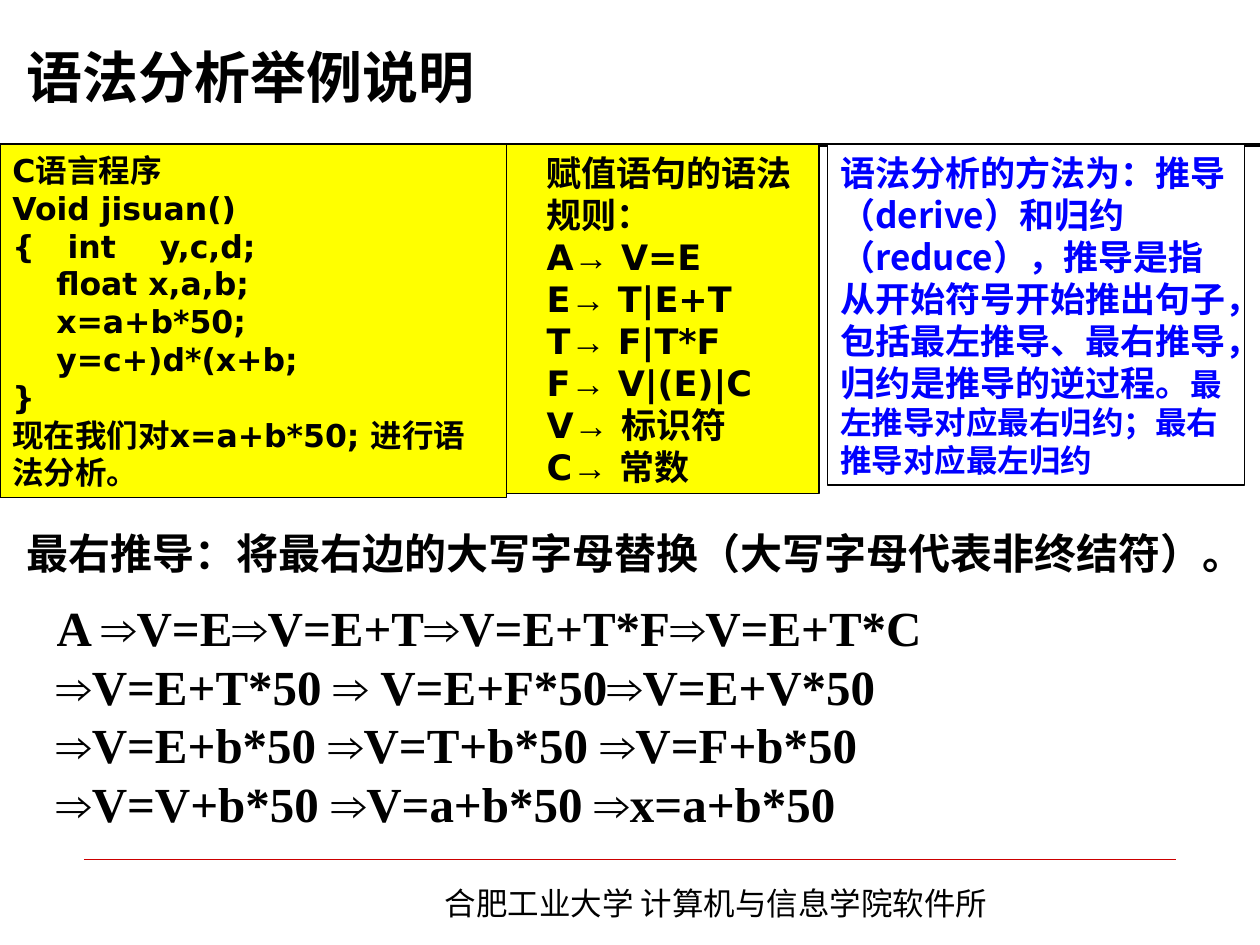
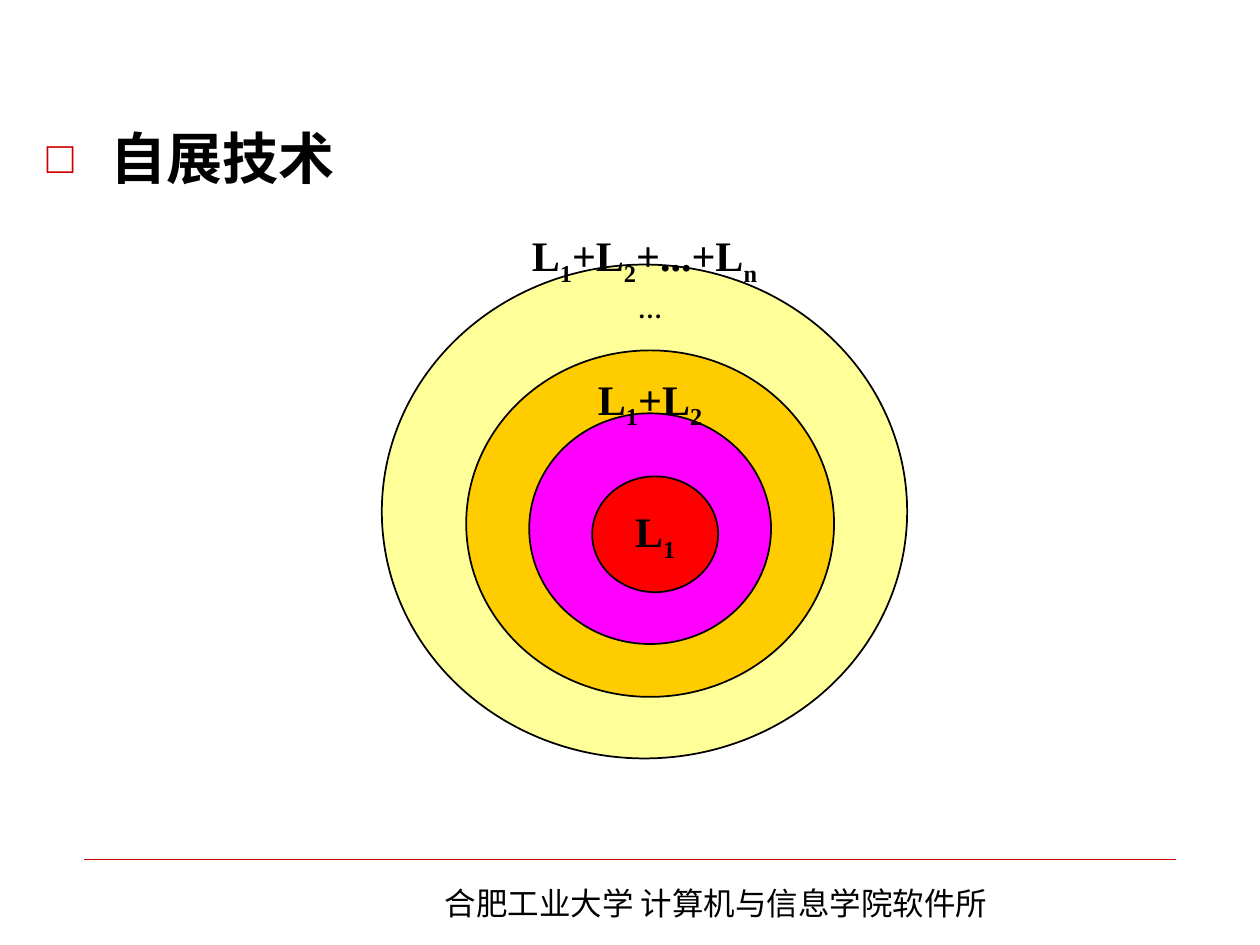
from dataclasses import dataclass
from itertools import groupby

from lxml import etree
from pptx import Presentation
from pptx.dml.color import RGBColor
from pptx.enum.shapes import MSO_CONNECTOR, MSO_SHAPE
from pptx.enum.text import MSO_ANCHOR, MSO_AUTO_SIZE, PP_ALIGN
from pptx.oxml.ns import qn
from pptx.shapes.autoshape import Shape
from pptx.slide import Slide
from pptx.text.text import TextFrame, _Paragraph, _Run
from pptx.util import Pt

BLACK = RGBColor(0x00, 0x00, 0x00)
WHITE = RGBColor(0xFF, 0xFF, 0xFF)
YELLOW = RGBColor(0xFF, 0xFF, 0x00)
BLUE = RGBColor(0x00, 0x00, 0xFF)
RED = RGBColor(0xFF, 0x00, 0x00)
DARK_RED = RGBColor(0xCC, 0x00, 0x00)
MAGENTA = RGBColor(0xFF, 0x00, 0xFF)
ORANGE = RGBColor(0xFF, 0xCC, 0x00)
PALE_YELLOW = RGBColor(0xFF, 0xFF, 0x99)

CHINESE_FONT = "Noto Sans CJK SC"
SANS_FONT = "DejaVu Sans"
SERIF_FONT = "Times New Roman"
ARROW_FONT = "Arial"
ARROWS = "→⇒"

RECTANGLE, OVAL = MSO_SHAPE.RECTANGLE, MSO_SHAPE.OVAL
STRAIGHT = MSO_CONNECTOR.STRAIGHT
TOP, MIDDLE, BOTTOM = MSO_ANCHOR.TOP, MSO_ANCHOR.MIDDLE, MSO_ANCHOR.BOTTOM
LEFT, CENTER = PP_ALIGN.LEFT, PP_ALIGN.CENTER
NO_AUTOFIT = MSO_AUTO_SIZE.NONE

LAYOUT_TITLE_AND_BODY, LAYOUT_TITLE_ONLY = 1, 5
PANEL_TOP = 82.8
LABEL_HEIGHT = 28


@dataclass(frozen=True)
class Box:
    left: float
    top: float
    width: float
    height: float

    def lengths(self) -> tuple[Pt, Pt, Pt, Pt]:
        return Pt(self.left), Pt(self.top), Pt(self.width), Pt(self.height)


@dataclass(frozen=True)
class TextStyle:
    font: str
    size: float
    color: RGBColor = BLACK
    bold: bool = True


@dataclass(frozen=True)
class Panel:
    box: Box
    fill: RGBColor
    style: TextStyle
    lines: tuple[str, ...]
    indent: float = 0


@dataclass(frozen=True)
class Ring:
    """An ellipse and its label; an underscore lowers the next character."""
    box: Box
    fill: RGBColor
    label: str
    label_middle: float


TITLE_STYLE = TextStyle(CHINESE_FONT, 32)
FOOTER_STYLE = TextStyle(CHINESE_FONT, 18, bold=False)
CODE_STYLE = TextStyle(SANS_FONT, 18)
RULE_STYLE = TextStyle(SANS_FONT, 20)
METHOD_STYLE = TextStyle(CHINESE_FONT, 20, BLUE)
METHOD_END_STYLE = TextStyle(CHINESE_FONT, 18, BLUE)
HEADING_STYLE = TextStyle(SANS_FONT, 24)
DERIVATION_STYLE = TextStyle(SERIF_FONT, 28)
LABEL_STYLE = TextStyle(SERIF_FONT, 24)

PANELS = (
    Panel(Box(269.3, PANEL_TOP, 198.7, 199.4), YELLOW, RULE_STYLE, (
        "赋值语句的语法规则：",
        "A→ V=E",
        "E→ T|E+T",
        "T→ F|T*F",
        "F→ V|(E)|C",
        "V→ 标识符",
        "C→ 常数",
    ), indent=36),
    Panel(Box(0, PANEL_TOP, 289.4, 201.6), YELLOW, CODE_STYLE, (
        "C语言程序",
        "Void jisuan()",
        "{   int    y,c,d;",
        "    float x,a,b;",
        "    x=a+b*50;",
        "    y=c+)d*(x+b;",
        "}",
        "现在我们对x=a+b*50; 进行语法分析。",
    )),
    Panel(Box(473, PANEL_TOP, 238.3, 194.4), WHITE, METHOD_STYLE, (
        "语法分析的方法为：推导（derive）和归约（reduce），推导是指从开始符号"
        "开始推出句子，包括最左推导、最右推导，归约是推导的逆过程。",
    )),
)
METHOD_END = "最左推导对应最右归约；最右推导对应最左归约"

DERIVATION = (
    "A ⇒V=E⇒V=E+T⇒V=E+T*F⇒V=E+T*C",
    "⇒V=E+T*50 ⇒ V=E+F*50⇒V=E+V*50",
    "⇒V=E+b*50 ⇒V=T+b*50 ⇒V=F+b*50",
    "⇒V=V+b*50 ⇒V=a+b*50 ⇒x=a+b*50",
)

RINGS = (
    Ring(Box(218.2, 151.2, 300.2, 282.2), PALE_YELLOW, "L_1+L_2+...+L_n", 147.6),
    Ring(Box(266.4, 200.2, 210.2, 198), ORANGE, "_…", 168.5),
    Ring(Box(302.4, 236.2, 138.2, 131.8), MAGENTA, "L_1+L_2", 229.7),
    Ring(Box(338.4, 272.2, 72, 66.2), RED, "L_1", 305.3),
)


def add_run(paragraph: _Paragraph, text: str, style: TextStyle) -> _Run:
    run = paragraph.add_run()
    run.text = text
    font = run.font
    font.name, font.size, font.bold = style.font, Pt(style.size), style.bold
    font.color.rgb = style.color
    is_chinese = any(character >= "\u3000" for character in text)
    east_asian = etree.SubElement(run._r.get_or_add_rPr(), qn("a:ea"))
    east_asian.set("typeface", CHINESE_FONT if is_chinese else style.font)
    return run


def write_line(paragraph: _Paragraph, text: str, style: TextStyle) -> None:
    """Write one paragraph, with its arrows in the arrow font."""
    arrow_style = TextStyle(ARROW_FONT, style.size, style.color, style.bold)
    for is_arrow, characters in groupby(text, lambda character: character in ARROWS):
        add_run(paragraph, "".join(characters), arrow_style if is_arrow else style)


def write_lines(frame: TextFrame, lines: tuple[str, ...], style: TextStyle,
                indent: float = 0) -> None:
    for number, line in enumerate(lines):
        paragraph = frame.add_paragraph() if number else frame.paragraphs[0]
        paragraph.alignment = LEFT
        if indent:
            paragraph._p.get_or_add_pPr().set("marL", str(Pt(indent)))
        write_line(paragraph, line, style)


def write_subscripted(paragraph: _Paragraph, text: str, style: TextStyle) -> None:
    plain, *lowered = text.split("_")
    if plain:
        add_run(paragraph, plain, style)
    for part in lowered:
        subscript = add_run(paragraph, part[0], style)
        subscript._r.get_or_add_rPr().set("baseline", "-25000")
        if part[1:]:
            add_run(paragraph, part[1:], style)


def prepare_frame(frame: TextFrame, anchor: MSO_ANCHOR = TOP, wrap: bool = True) -> None:
    frame.auto_size = NO_AUTOFIT
    frame.word_wrap = wrap
    frame.vertical_anchor = anchor
    frame.margin_left = frame.margin_right = Pt(7.2)
    frame.margin_top = frame.margin_bottom = Pt(3.6)


def add_text(slide: Slide, box: Box, lines: tuple[str, ...], style: TextStyle,
             wrap: bool = True) -> None:
    frame = slide.shapes.add_textbox(*box.lengths()).text_frame
    prepare_frame(frame, wrap=wrap)
    write_lines(frame, lines, style)


def add_filled_shape(slide: Slide, kind: MSO_SHAPE, box: Box, fill: RGBColor,
                     line_width: float) -> Shape:
    shape = slide.shapes.add_shape(kind, *box.lengths())
    shape.shadow.inherit = False
    shape.fill.solid()
    shape.fill.fore_color.rgb = fill
    shape.line.color.rgb = BLACK
    shape.line.width = Pt(line_width)
    return shape


def add_rule(slide: Slide, left: float, right: float, top: float,
             color: RGBColor, width: float) -> None:
    rule = slide.shapes.add_connector(STRAIGHT, Pt(left), Pt(top), Pt(right), Pt(top))
    rule.line.color.rgb = color
    rule.line.width = Pt(width)
    etree.SubElement(rule._element.spPr, qn("a:effectLst"))


def add_footer(slide: Slide) -> None:
    add_rule(slide, 48, 672, 491, DARK_RED, 0.25)
    add_text(slide, Box(247, 501.8, 345.6, 28.8),
             ("合肥工业大学 计算机与信息学院软件所",), FOOTER_STYLE)


def fill_placeholder(shape: Shape, box: Box, text: str, anchor: MSO_ANCHOR) -> _Paragraph:
    shape.left, shape.top, shape.width, shape.height = box.lengths()
    prepare_frame(shape.text_frame, anchor)
    write_lines(shape.text_frame, (text,), TITLE_STYLE)
    return shape.text_frame.paragraphs[0]


def set_square_bullet(paragraph: _Paragraph, indent: float) -> None:
    properties = paragraph._p.get_or_add_pPr()
    properties.set("marL", str(Pt(indent)))
    properties.set("indent", str(-Pt(indent)))
    color = etree.SubElement(properties, qn("a:buClr"))
    etree.SubElement(color, qn("a:srgbClr")).set("val", str(DARK_RED))
    etree.SubElement(properties, qn("a:buSzPct")).set("val", "80000")
    etree.SubElement(properties, qn("a:buFont")).set("typeface", ARROW_FONT)
    etree.SubElement(properties, qn("a:buChar")).set("char", "□")


def add_panel(slide: Slide, panel: Panel) -> TextFrame:
    shape = add_filled_shape(slide, RECTANGLE, panel.box, panel.fill, 0.75)
    prepare_frame(shape.text_frame)
    write_lines(shape.text_frame, panel.lines, panel.style, panel.indent)
    return shape.text_frame


def add_ring(slide: Slide, ring: Ring) -> None:
    add_filled_shape(slide, OVAL, ring.box, ring.fill, 1)
    label_box = Box(ring.box.left, ring.label_middle - LABEL_HEIGHT / 2,
                    ring.box.width, LABEL_HEIGHT)
    frame = slide.shapes.add_textbox(*label_box.lengths()).text_frame
    prepare_frame(frame, MIDDLE, wrap=False)
    frame.margin_top = frame.margin_bottom = Pt(0)
    paragraph = frame.paragraphs[0]
    paragraph.alignment = CENTER
    write_subscripted(paragraph, ring.label, LABEL_STYLE)


def build_parsing_slide(presentation: Presentation) -> None:
    slide = presentation.slides.add_slide(presentation.slide_layouts[LAYOUT_TITLE_ONLY])
    add_footer(slide)
    fill_placeholder(slide.shapes.title, Box(7.9, 6.5, 630, 59.8),
                     "语法分析举例说明", BOTTOM)
    add_rule(slide, 0, 720, PANEL_TOP, BLACK, 2.25)
    frames = [add_panel(slide, panel) for panel in PANELS]
    add_run(frames[-1].paragraphs[0], METHOD_END, METHOD_END_STYLE)
    add_text(slide, Box(7.9, 298, 710, 36),
             ("最右推导：将最右边的大写字母替换（大写字母代表非终结符）。",),
             HEADING_STYLE, wrap=False)
    add_text(slide, Box(25.2, 337.7, 572.4, 147.6), DERIVATION, DERIVATION_STYLE)


def build_bootstrapping_slide(presentation: Presentation) -> None:
    slide = presentation.slides.add_slide(presentation.slide_layouts[LAYOUT_TITLE_AND_BODY])
    title = slide.shapes.title._element
    title.getparent().remove(title)
    add_footer(slide)
    paragraph = fill_placeholder(slide.placeholders[1], Box(19.4, 71.3, 589.7, 46.8),
                                 "自展技术", TOP)
    set_square_bullet(paragraph, 36.7)
    paragraph.line_spacing = 0.9
    paragraph.space_before = Pt(0)
    for ring in RINGS:
        add_ring(slide, ring)


def main() -> None:
    presentation = Presentation()
    presentation.slide_width, presentation.slide_height = Pt(720), Pt(540)
    build_parsing_slide(presentation)
    build_bootstrapping_slide(presentation)
    presentation.save("out.pptx")


if __name__ == "__main__":
    main()
